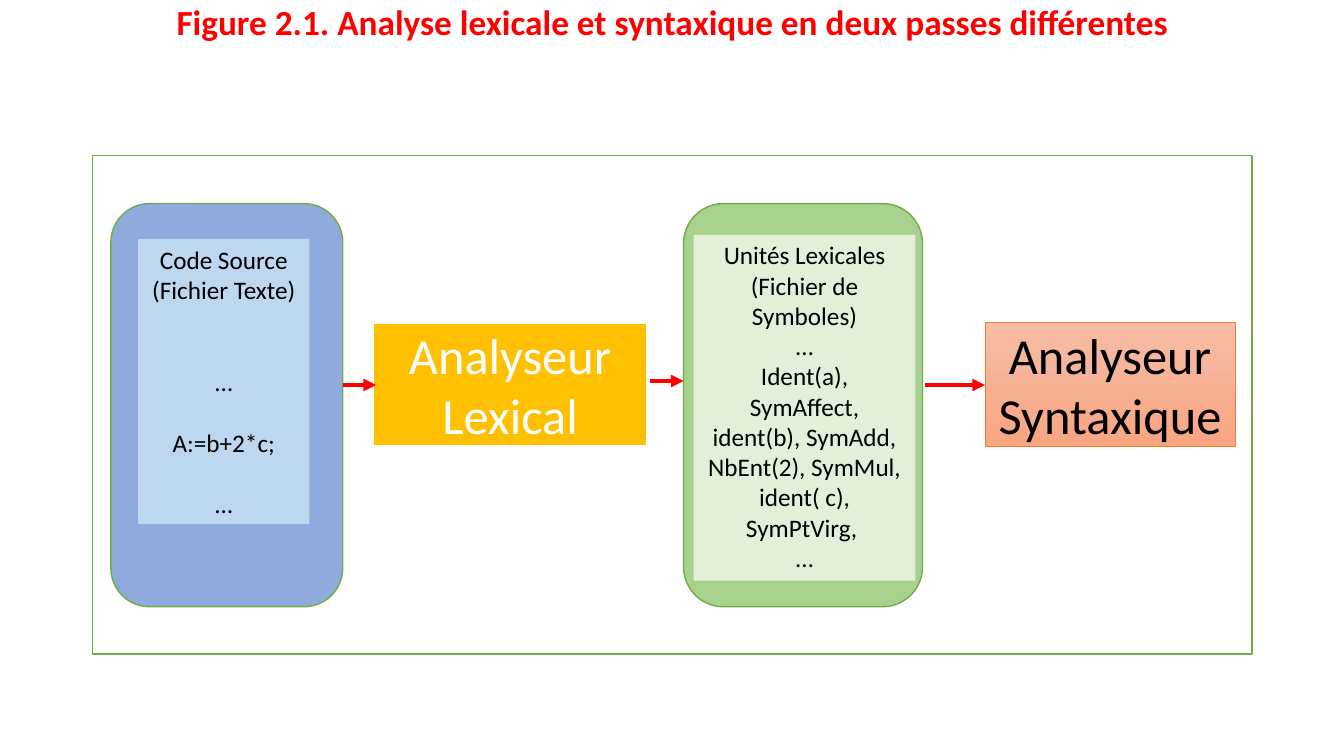
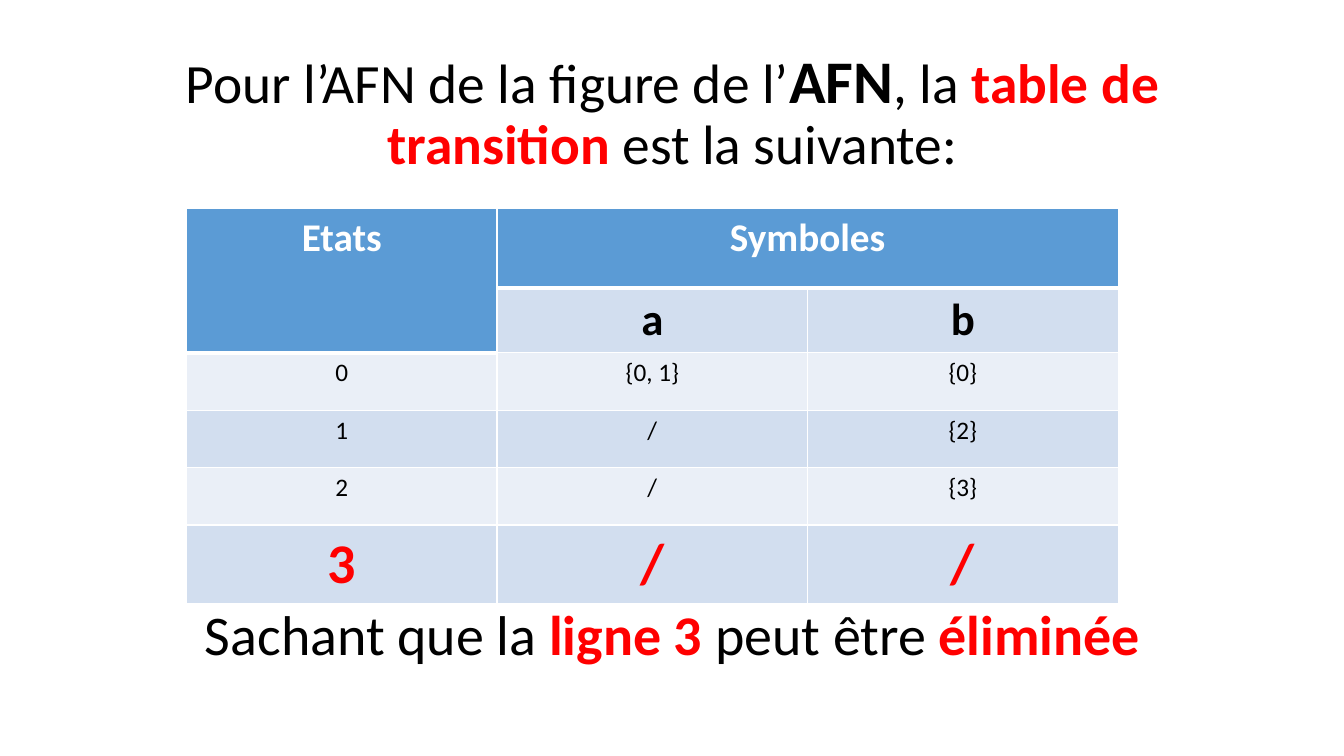
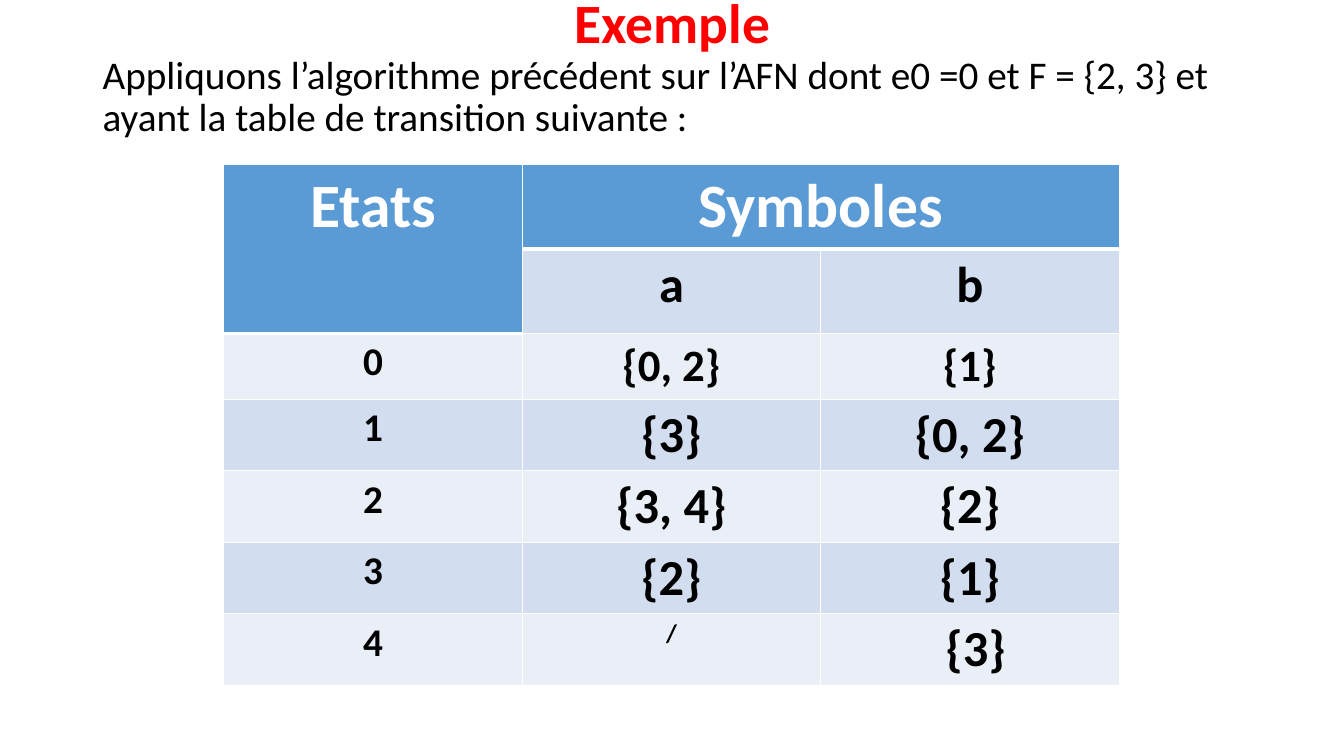
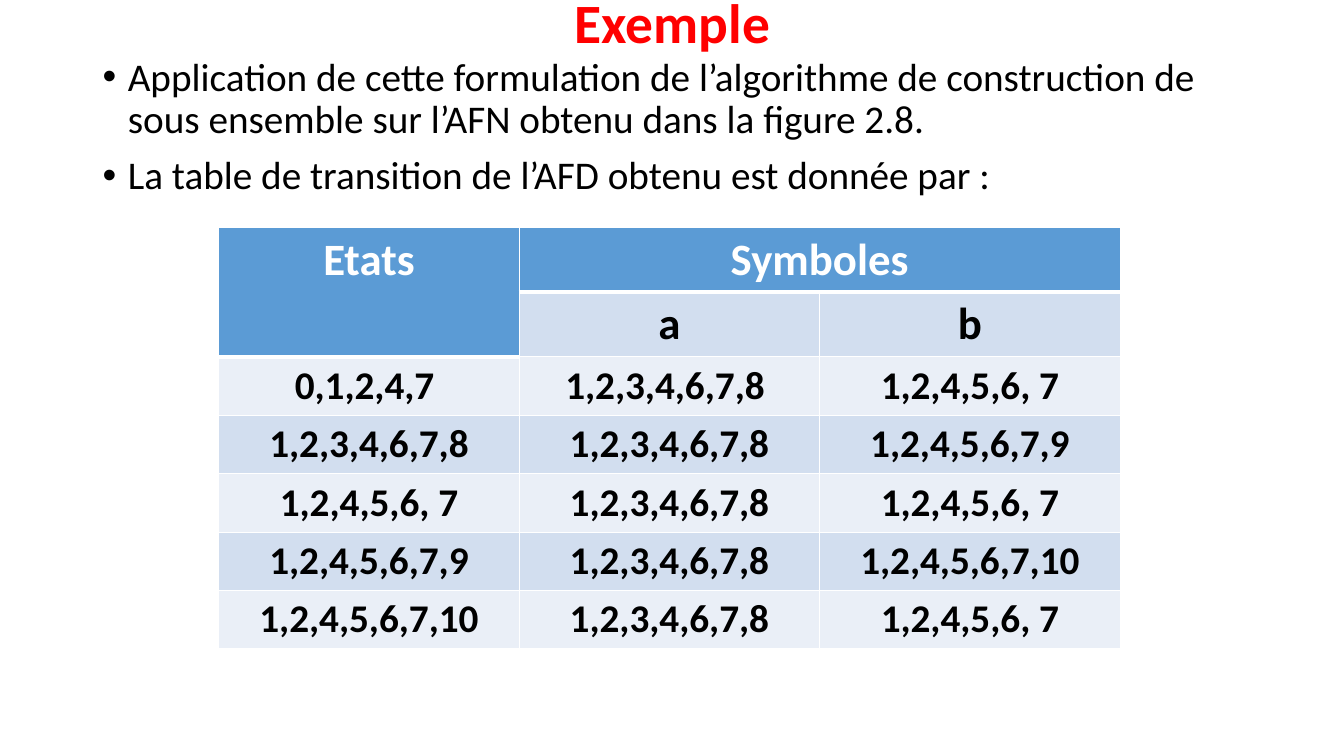
from dataclasses import dataclass

from lxml.etree import SubElement
from pptx import Presentation
from pptx.dml.color import RGBColor
from pptx.enum.shapes import MSO_CONNECTOR, MSO_SHAPE
from pptx.enum.text import MSO_ANCHOR, PP_ALIGN
from pptx.oxml.ns import qn
from pptx.util import Inches, Pt

COLORS = {
    "black": "000000", "white": "FFFFFF", "red": "FF0000", "green": "70AD47",
    "amber": "FFC000", "orange": "ED7D31", "peach": "F7BDA5", "salmon": "F8A582",
    "blue": "8FAADC", "pale blue": "BDD7EE", "leaf": "A9D18E", "pale leaf": "E2F0D9",
    "header": "5B9BD5", "band dark": "D2DEEF", "band light": "EAEFF7",
}
FONT = "Calibri"
MARGIN, CONTENT_WIDTH = 0.92, 11.5


def rgb(name):
    """Return the named colour."""
    return RGBColor.from_string(COLORS[name])


@dataclass
class Run:
    """A piece of text with one look."""
    text: str
    size: float = 18
    color: str = "black"
    bold: bool = False


@dataclass
class Paragraph:
    """Runs that share alignment and spacing."""
    runs: list
    before: float = 0
    align: PP_ALIGN = PP_ALIGN.CENTER
    spacing: float = 1.0
    bullet: bool = False


@dataclass
class Row:
    """A table row: one size per cell."""
    height: float
    texts: list
    sizes: list
    color: str = "black"
    bold: bool = True


class Deck:
    """Holds the presentation style and the current slide."""

    def __init__(self):
        """Start an empty widescreen presentation."""
        self.presentation = Presentation()
        self.presentation.slide_width = Inches(13.33)
        self.presentation.slide_height = Inches(7.5)
        self.slide = None

    def new_slide(self):
        """Add a blank slide and make it current."""
        self.slide = self.presentation.slides.add_slide(self.presentation.slide_layouts[6])

    def fill_text(self, frame, paragraphs):
        """Put paragraphs into a text frame, run by run."""
        frame.word_wrap = True
        for index, item in enumerate(paragraphs):
            paragraph = frame.add_paragraph() if index else frame.paragraphs[0]
            paragraph.alignment = item.align
            paragraph.line_spacing = item.spacing
            paragraph.space_before = Pt(item.before)
            if item.bullet:
                props = paragraph._p.get_or_add_pPr()
                props.set("marL", str(Inches(0.25)))
                props.set("indent", str(-Inches(0.25)))
                SubElement(props, qn("a:buFont"), typeface="Arial")
                SubElement(props, qn("a:buChar"), char="•")
            for piece in item.runs:
                run = paragraph.add_run()
                run.text = piece.text
                run.font.name = FONT
                run.font.size = Pt(piece.size)
                run.font.bold = piece.bold
                run.font.color.rgb = rgb(piece.color)

    def text(self, top, height, paragraphs, anchor=MSO_ANCHOR.TOP):
        """Add text across the content width."""
        box = self.slide.shapes.add_textbox(
            Inches(MARGIN), Inches(top), Inches(CONTENT_WIDTH), Inches(height))
        box.text_frame.vertical_anchor = anchor
        self.fill_text(box.text_frame, paragraphs)

    def title(self, runs, top=0, height=0.5):
        """Add a centred title."""
        self.text(top, height, [Paragraph(runs, spacing=0.9)], MSO_ANCHOR.MIDDLE)

    def body(self, top, height, texts, bullet=False):
        """Add left-aligned body paragraphs."""
        self.text(top, height, [
            Paragraph([Run(text, 28)], 10 if index else 0, PP_ALIGN.LEFT, 0.9, bullet)
            for index, text in enumerate(texts)])

    def box(self, left, top, width, height, fill, line=None, weight=1, paragraphs=(),
            kind=MSO_SHAPE.RECTANGLE, anchor=MSO_ANCHOR.MIDDLE):
        """Add a box; a pair of fill colours makes a vertical gradient."""
        shape = self.slide.shapes.add_shape(
            kind, Inches(left), Inches(top), Inches(width), Inches(height))
        shape.shadow.inherit = False
        if isinstance(fill, tuple):
            shape.fill.gradient()
            shape.fill.gradient_angle = 270
            for stop, name in zip(shape.fill.gradient_stops, fill):
                stop.color.rgb = rgb(name)
        else:
            shape.fill.solid()
            shape.fill.fore_color.rgb = rgb(fill)
        if line:
            shape.line.color.rgb = rgb(line)
            shape.line.width = Pt(weight)
        else:
            shape.line.fill.background()
        shape.text_frame.vertical_anchor = anchor
        self.fill_text(shape.text_frame, paragraphs)

    def arrow(self, start, end, y):
        """Add a horizontal red arrow."""
        arrow = self.slide.shapes.add_connector(
            MSO_CONNECTOR.STRAIGHT, Inches(start), Inches(y), Inches(end), Inches(y))
        arrow.line.color.rgb = rgb("red")
        arrow.line.width = Pt(3)
        SubElement(arrow.line._get_or_add_ln(), qn("a:tailEnd"), type="triangle")
        SubElement(arrow._element.spPr, qn("a:effectLst"))

    def borders(self, cell, top, bottom):
        """Draw white cell borders with the given top and bottom widths."""
        props = cell._tc.get_or_add_tcPr()
        edges = {"a:lnL": 1, "a:lnR": 1, "a:lnT": top, "a:lnB": bottom}
        for index, (tag, width) in enumerate(edges.items()):
            edge = SubElement(props, qn(tag), w=str(Pt(width)))
            fill = SubElement(edge, qn("a:solidFill"))
            SubElement(fill, qn("a:srgbClr"), val=COLORS["white"])
            props.insert(index, edge)

    def transition_table(self, left, top, column_width, header_height, header_size, rows):
        """Add a transition table with its merged two-row header."""
        header = Row(header_height, ["Etats", "Symboles", ""], [header_size] * 3, "white")
        rows = [header] + rows
        table = self.slide.shapes.add_table(
            len(rows), 3, Inches(left), Inches(top), Inches(3 * column_width),
            Inches(sum(row.height for row in rows))).table
        for column in table.columns:
            column.width = Inches(column_width)

        def is_header(r, c):
            """Tell whether a cell belongs to the header."""
            return r == 0 or (r, c) == (1, 0)

        for r, row in enumerate(rows):
            table.rows[r].height = Inches(row.height)
            for c, (text, size) in enumerate(zip(row.texts, row.sizes)):
                cell = table.cell(r, c)
                band = "band dark" if r % 2 else "band light"
                cell.fill.solid()
                cell.fill.fore_color.rgb = rgb("header" if is_header(r, c) else band)
                below_header = r > 0 and is_header(r - 1, c) and not is_header(r, c)
                self.borders(cell, 3 if below_header else 1, 3 if is_header(r, c) else 1)
                if text:
                    self.fill_text(cell.text_frame,
                                   [Paragraph([Run(text, size, row.color, row.bold)])])
        table.cell(0, 0).merge(table.cell(1, 0))
        table.cell(0, 1).merge(table.cell(0, 2))


def two_passes(deck):
    """Lexical and syntactic analysis in two passes."""
    deck.new_slide()
    deck.title([Run("Figure 2.1. Analyse lexicale et syntaxique en deux passes différentes",
                    25.2, "red", True)], height=0.48)
    deck.box(MARGIN, 1.54, CONTENT_WIDTH, 4.95, "white", "green")
    deck.box(3.7, 3.2, 2.72, 1.23, "amber", "white", 1.5,
             [Paragraph([Run("Analyseur Lexical", 36, "white")])])
    deck.box(9.77, 3.2, 2.48, 1.23, ("peach", "salmon"), "orange", 0.5,
             [Paragraph([Run("Analyseur Syntaxique", 36)])])
    for left, width, fill in ((1.1, 2.3, "blue"), (6.78, 2.37, "leaf")):
        deck.box(left, 2.02, width, 4, fill, "green", kind=MSO_SHAPE.ROUNDED_RECTANGLE)
    for start, end, y in ((9.17, 9.77, 3.82), (3.4, 3.73, 3.82), (6.45, 6.78, 3.78)):
        deck.arrow(start, end, y)

    line = 22
    source = [("Code Source (Fichier Texte)", 0), ("…", 2 * line),
              ("A:=b+2*c;", line), ("…", line)]
    symbols = [("Unités Lexicales (Fichier de Symboles)", 0), ("…", 0),
               ("Ident(a), SymAffect, ident(b), SymAdd, NbEnt(2), SymMul, "
                "ident( c), SymPtVirg, ", 0), ("…", 0)]
    for place, fill, texts in (((1.37, 2.37, 1.7, 2.83), "pale blue", source),
                               ((6.88, 2.33, 2.2, 3.43), "pale leaf", symbols)):
        deck.box(*place, fill, anchor=MSO_ANCHOR.TOP,
                 paragraphs=[Paragraph([Run(text)], before) for text, before in texts])


def nfa_table(deck):
    """Transition table of the automaton."""
    deck.new_slide()
    deck.title([Run("Pour l’AFN de la figure de l’", 39.6), Run("AFN", 43.2, bold=True),
                Run(", la ", 39.6), Run("table de transition", 39.6, "red", True),
                Run(" est la suivante:", 39.6)], 0.4, 1.45)
    deck.title([Run("Sachant que la ", 40), Run("ligne 3", 40, "red", True),
                Run(" peut être ", 40), Run("éliminée", 40, "red", True)], 5.97, 0.7)
    states = [["0", "{0, 1}", "{0}"], ["1", "/", "{2}"], ["2", "/", "{3}"]]
    deck.transition_table(
        1.85, 2.07, 3.08, 0.79, 28,
        [Row(0.64, ["", "a", "b"], [32] * 3)]
        + [Row(0.57, texts, [18] * 3, bold=False) for texts in states]
        + [Row(0.78, ["3", "/", "/"], [40] * 3, "red")])


def subset_example(deck):
    """Automaton on which the algorithm is applied."""
    deck.new_slide()
    deck.title([Run("Exemple", 39.6, "red", True)])
    deck.body(0.5, 1.1, ["Appliquons l’algorithme précédent sur l’AFN dont e0 =0 et "
                         "F = {2, 3} et ayant la table de transition suivante :"])
    deck.transition_table(2.22, 1.63, 2.96, 0.84, 44, [
        Row(0.84, ["", "a", "b"], [36] * 3),
        Row(0.65, ["0", "{0, 2}", "{1}"], [28, 32, 32]),
        Row(0.71, ["1", "{3}", "{0, 2}"], [28, 36, 36]),
        Row(0.71, ["2", "{3, 4}", "{2}"], [28, 36, 36]),
        Row(0.71, ["3", "{2}", "{1}"], [28, 36, 36]),
        Row(0.71, ["4", "/", " {3}"], [28, 18, 36]),
    ])


def subset_result(deck):
    """Transition table obtained by subset construction."""
    deck.new_slide()
    deck.title([Run("Exemple", 39.6, "red", True)])
    deck.body(0.52, 1.6, [
        "Application de cette formulation de l’algorithme de construction de "
        "sous ensemble sur l’AFN obtenu dans la figure 2.8.",
        "La table de transition de l’AFD obtenu est donnée par :"], bullet=True)
    on_a, on_b = "1,2,3,4,6,7,8", "1,2,4,5,6, 7"
    states = [["0,1,2,4,7 ", on_a + " ", on_b], [on_a, on_a, "1,2,4,5,6,7,9"],
              [on_b, on_a, on_b], ["1,2,4,5,6,7,9", on_a, "1,2,4,5,6,7,10"],
              ["1,2,4,5,6,7,10", on_a, on_b]]
    deck.transition_table(
        2.17, 2.26, 2.98, 0.64, 32,
        [Row(0.64, ["", "a", "b"], [32] * 3)]
        + [Row(0.58, texts, [28] * 3) for texts in states])


deck = Deck()
for build in (two_passes, nfa_table, subset_example, subset_result):
    build(deck)
deck.presentation.save("out.pptx")
